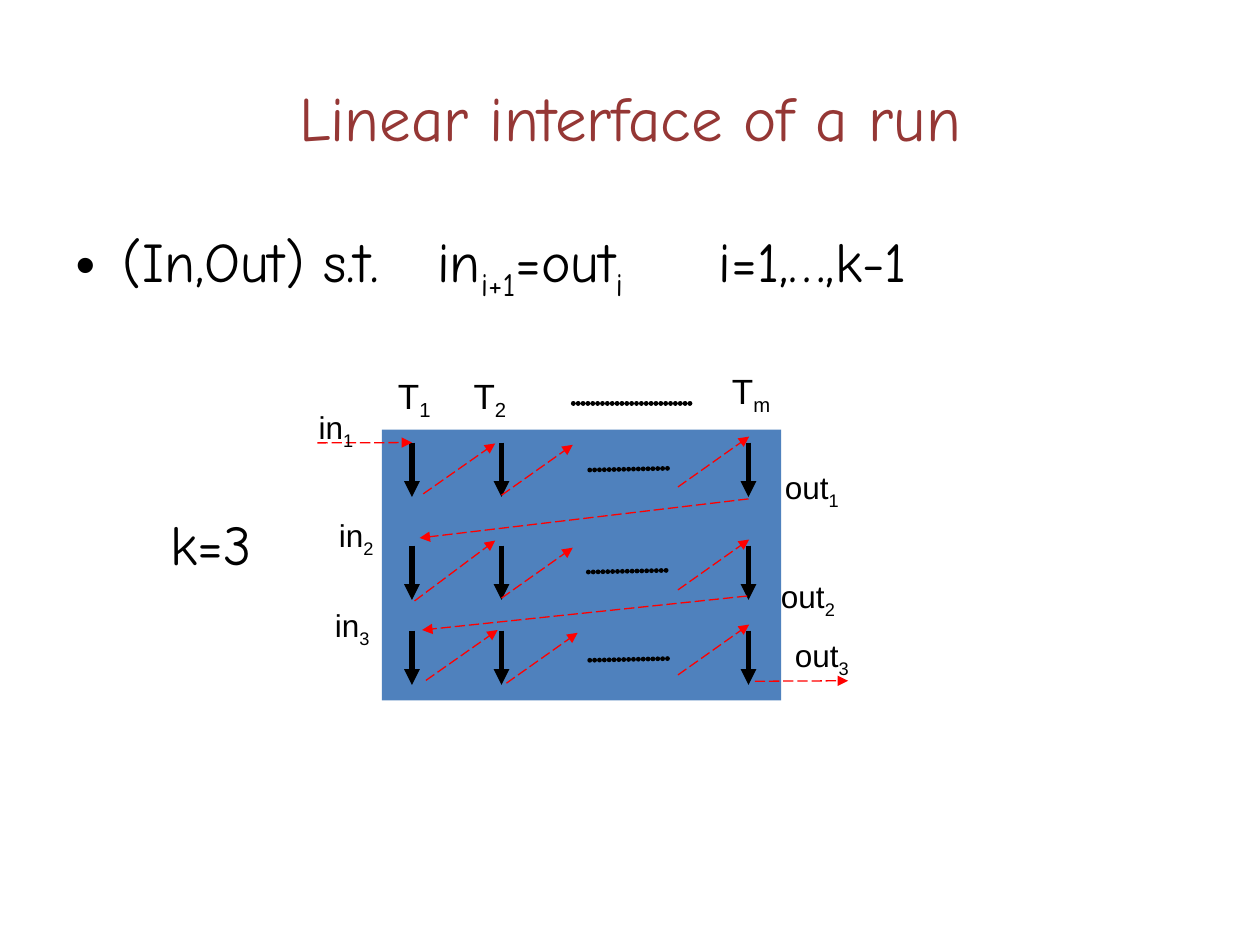
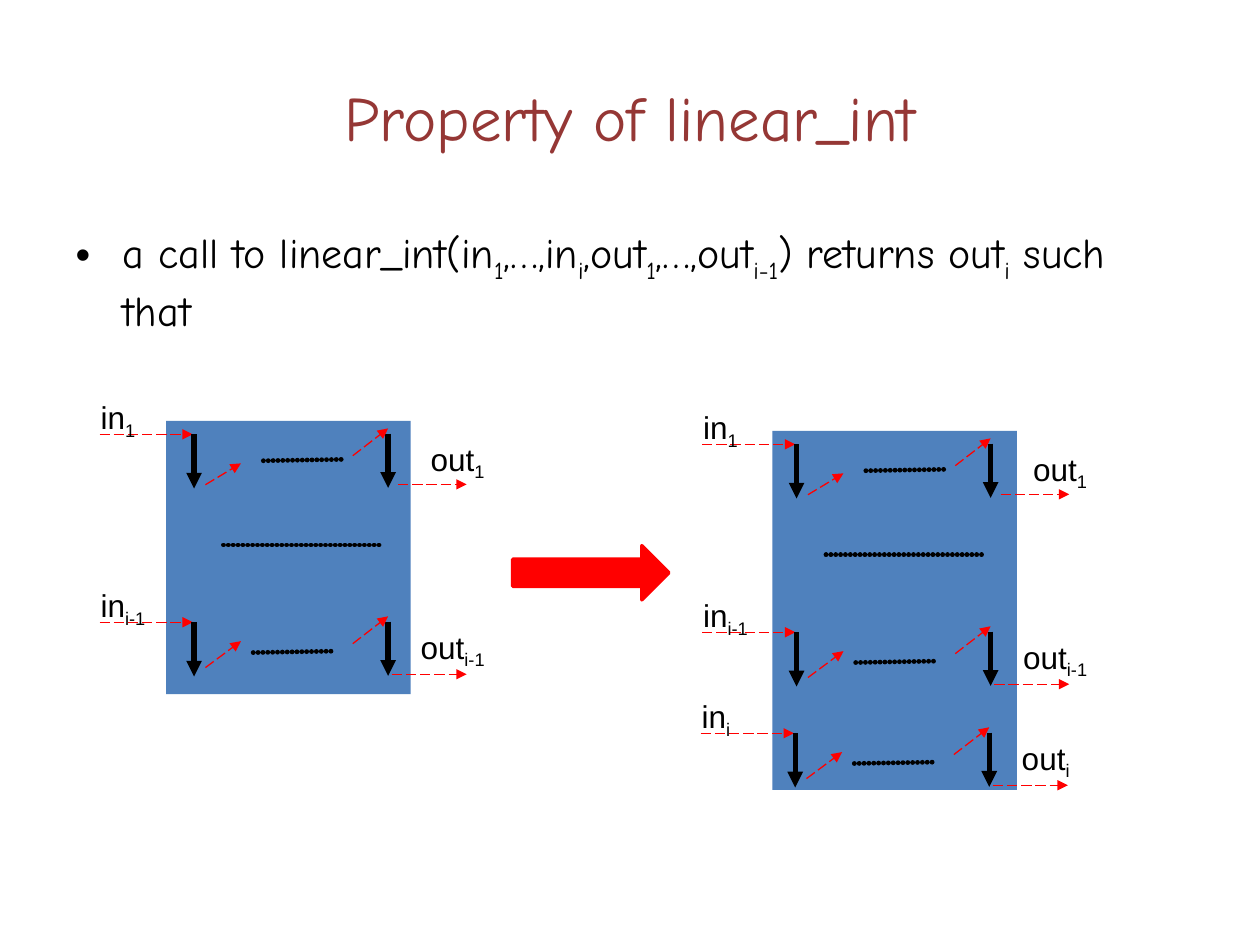
from lxml.etree import SubElement
from pptx import Presentation
from pptx.dml.color import RGBColor
from pptx.enum.dml import MSO_LINE
from pptx.enum.shapes import MSO_CONNECTOR, MSO_SHAPE
from pptx.enum.text import MSO_ANCHOR, MSO_AUTO_SIZE, PP_ALIGN
from pptx.oxml.ns import qn
from pptx.util import Pt

BLACK = RGBColor(0x00, 0x00, 0x00)
RED = RGBColor(0xFF, 0x00, 0x00)
BLUE = RGBColor(0x4F, 0x81, 0xBD)
MAROON = RGBColor(0x95, 0x37, 0x35)
HEADING_FONT = "Comic Neue"
LABEL_FONT = "Arial"
STEM_LENGTH = 31


def write(paragraph, text, size=18, font=LABEL_FONT, color=BLACK, spacing=0):
    """Add text to the paragraph; parts between ~ marks become subscripts."""
    for index, part in enumerate(text.split("~")):
        if not part:
            continue
        run = paragraph.add_run()
        run.text = part
        run.font.size = Pt(size)
        run.font.name = font
        run.font.color.rgb = color
        properties = run.font._element
        if index % 2:
            properties.set("baseline", "-25000")
        if spacing:
            properties.set("spc", str(spacing * 100))


class Deck:
    def __init__(self):
        self.presentation = Presentation()
        self.presentation.slide_width = Pt(720)
        self.presentation.slide_height = Pt(540)
        self.slide = None

    def add_slide(self, title):
        """Start a slide and return the first paragraph of its body."""
        layout = self.presentation.slide_layouts[1]
        self.slide = self.presentation.slides.add_slide(layout)
        heading = self.place(self.slide.shapes.title, 36, 21.6, 648, 90)
        heading.vertical_anchor = MSO_ANCHOR.MIDDLE
        heading.paragraphs[0].alignment = PP_ALIGN.CENTER
        write(heading.paragraphs[0], title, size=36, font=HEADING_FONT, color=MAROON)
        body = self.place(self.slide.placeholders[1], 36, 126, 648, 356.4)
        body.paragraphs[0].space_before = Pt(0)
        return body.paragraphs[0]

    def place(self, placeholder, left, top, width, height):
        placeholder.left, placeholder.top = Pt(left), Pt(top)
        placeholder.width, placeholder.height = Pt(width), Pt(height)
        placeholder.text_frame.auto_size = MSO_AUTO_SIZE.NONE
        return placeholder.text_frame

    def add_plain_paragraph(self, text, indent, space_before):
        """Add a body paragraph without a bullet."""
        paragraph = self.slide.placeholders[1].text_frame.add_paragraph()
        properties = paragraph._p.get_or_add_pPr()
        properties.set("marL", str(Pt(indent)))
        properties.set("indent", "0")
        SubElement(properties, qn("a:buNone"))
        paragraph.space_before = Pt(space_before)
        write(paragraph, text, size=32, font=HEADING_FONT)

    def shape(self, kind, left, top, width, height, color, line_width=0):
        shape = self.slide.shapes.add_shape(
            kind, Pt(left), Pt(top), Pt(width), Pt(height))
        shape.shadow.inherit = False
        shape.fill.solid()
        shape.fill.fore_color.rgb = color
        if line_width:
            shape.line.color.rgb = color
            shape.line.width = Pt(line_width)
        else:
            shape.line.fill.background()

    def label(self, text, left, top, width, height=31.7, size=18):
        box = self.slide.shapes.add_textbox(Pt(left), Pt(top), Pt(width), Pt(height))
        box.text_frame.word_wrap = False
        write(box.text_frame.paragraphs[0], text, size=size)

    def line(self, start, end, color, width):
        """Draw a line and return it with its line properties element."""
        connector = self.slide.shapes.add_connector(
            MSO_CONNECTOR.STRAIGHT, *(Pt(value) for value in (*start, *end)))
        connector.line.color.rgb = color
        connector.line.width = Pt(width)
        SubElement(connector._element.spPr, qn("a:effectLst"))
        return connector, connector.line._get_or_add_ln()

    def arrow(self, start, end, color=RED, width=0.75):
        connector, properties = self.line(start, end, color, width)
        if color == RED:
            connector.line.dash_style = MSO_LINE.LONG_DASH
        SubElement(properties, qn("a:tailEnd"), type="triangle")

    def stem(self, x, top):
        self.arrow((x, top), (x, top + STEM_LENGTH), color=BLACK, width=3)

    def dots(self, start, end):
        properties = self.line(start, end, BLACK, 2.75)[1]
        properties.set("cap", "rnd")
        dash = SubElement(properties, qn("a:custDash"))
        SubElement(dash, qn("a:ds"), d="1000", sp="100000")

    def run_pass(self, index, x, y, first=False):
        """Draw one pass of a run, with its first stem starting at x, y."""
        if first:
            step_start, step_end = 28.8, 16.6
            dots_left, dots_top, out_left, out_top = 39.6, 15.1, 116.6, 28.6
            out_label = 128.1
        else:
            step_start, step_end = 25.9, 10.8
            dots_left, dots_top, out_left, out_top = 33.8, 17.3, 113, 29.7
            out_label = 122.4
        self.arrow((x - 54, y), (x - 0.7, y))
        self.stem(x, y)
        self.stem(x + 110.9, y - 0.4)
        self.arrow((x + 6.5, y + step_start), (x + 26.8, y + step_end))
        self.arrow((x + 90.7, y + 12.2), (x + 110.9, y - 3.4))
        self.dots((x + dots_left, y + dots_top), (x + dots_left + 46.3, y + dots_top - 0.8))
        self.arrow((x + out_left, y + out_top), (x + 155.8, y + out_top))
        self.label(f"in~{index}~", x - 60.5, y - 24, 43)
        self.label(f"out~{index}~", x + out_label, y - 0.5, 54.7)


def add_interface_slide(deck):
    bullet = deck.add_slide("Linear interface of a run")
    style = {"size": 32, "font": HEADING_FONT}
    write(bullet, "(In,Out) s.t.", **style)
    write(bullet, " ", spacing=22, **style)
    write(bullet, "in~i+1~=out~i~", **style)
    write(bullet, " ", spacing=44, **style)
    write(bullet, "i=1,…,k-1", **style)
    deck.add_plain_paragraph("k=3", indent=54, space_before=117.7)

    deck.shape(MSO_SHAPE.RECTANGLE, 218.2, 245.5, 228.2, 154.8, BLUE)
    columns = (235.4, 286.6, 427.7)
    for index, left, top in (("1", 220.3, 210.2), ("2", 263.5, 210.2), ("m", 411.1, 207.4)):
        deck.label(f"T~{index}~", left, top, 39.6, 34.6, size=20)
    deck.dots((327.6, 230.4), (395.3, 230.4))

    # Row top, first hop start and end, left of second hop, left and top of dots
    rows = (
        (253, (241.9, 282.2), (283, 253.4), 286.6, 337, 268.6),
        (311.8, (236.9, 343.4), (283, 308.9), 286.6, 336.2, 326.9),
        (360.4, (243.4, 388.8), (284.4, 360), 289.4, 337, 377.3),
    )
    for top, hop_start, hop_end, second_left, dots_left, dots_top in rows:
        for x in columns:
            deck.stem(x, top)
        deck.arrow(hop_start, hop_end)
        for left, start in ((second_left, top + 30), (387.4, top + 25.3)):
            deck.arrow((left, start), (left + 40.7, start - 28.8))
        deck.dots((dots_left, dots_top), (dots_left + 46.4, dots_top - 1))

    deck.arrow((181.4, 253.1), (235.4, 252.9))
    deck.arrow((427.7, 285.1), (239.8, 307.4))
    deck.arrow((427, 340.6), (241.2, 360))
    deck.arrow((431.3, 389.3), (484.6, 389))
    ins = ((175, 229.7), (186.5, 291.6), (184.3, 342.7))
    outs = ((441.4, 264.2), (439.2, 326.2), (447.1, 360))
    for name, width, places in (("in", 43, ins), ("out", 54.7, outs)):
        for number, (left, top) in enumerate(places, 1):
            deck.label(f"{name}~{number}~", left, top, width)


def add_property_slide(deck):
    bullet = deck.add_slide("Property of linear_int")
    write(bullet, "a call to linear_int(in~1~,…,in~i~,out~1~,…,out~i-1~) returns out~i~ such that",
          size=24, font=HEADING_FONT)

    deck.shape(MSO_SHAPE.RECTANGLE, 95, 240.5, 139.7, 156.2, BLUE)
    deck.shape(MSO_SHAPE.RECTANGLE, 441.4, 246.2, 139.7, 205.2, BLUE)
    for x, y in ((110.9, 248.2), (455.2, 253.9)):
        deck.run_pass("1", x, y, first=True)
        deck.dots((x + 16.8, y + 63.2), (x + 106, y + 63.2))
        deck.run_pass("i-1", x, y + 107.4)
    deck.run_pass("i", 454.4, 419)
    deck.shape(MSO_SHAPE.RIGHT_ARROW, 293, 311.8, 89.3, 31, RED, line_width=2)


def main():
    deck = Deck()
    add_interface_slide(deck)
    add_property_slide(deck)
    deck.presentation.save("out.pptx")


if __name__ == "__main__":
    main()
